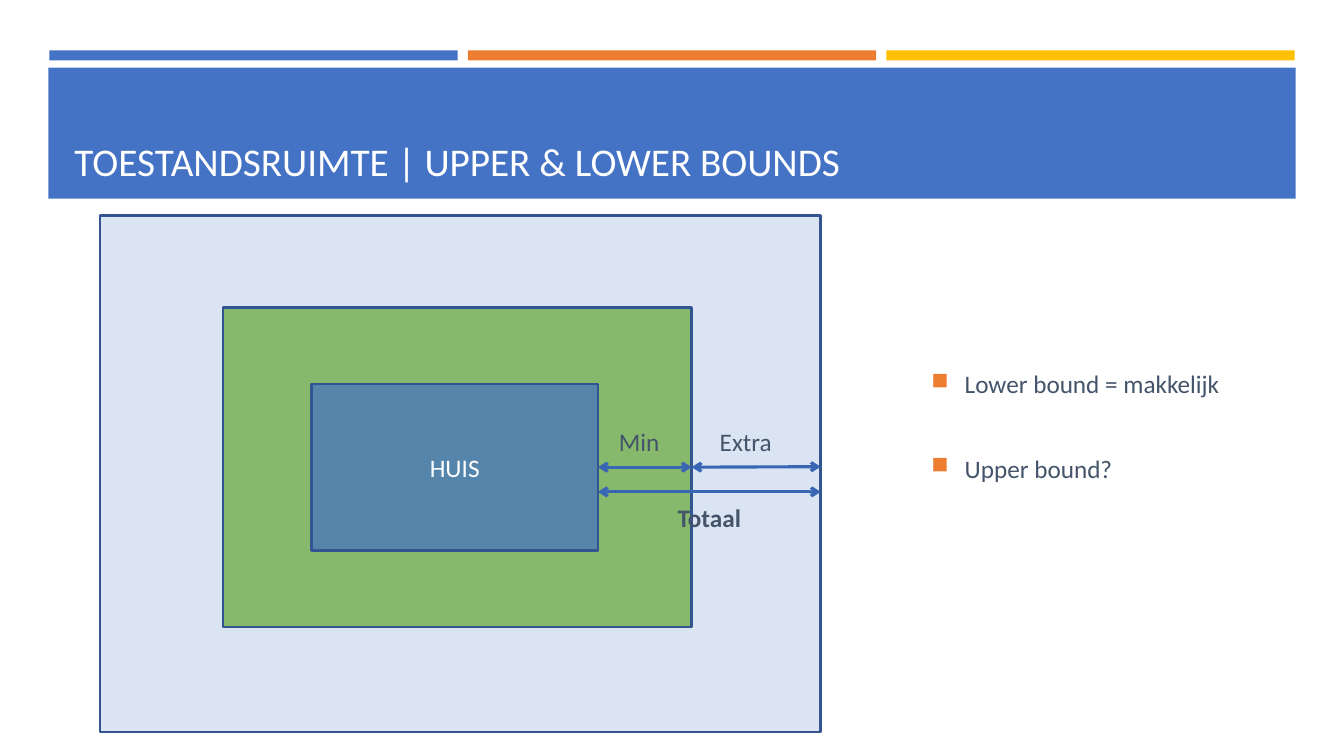
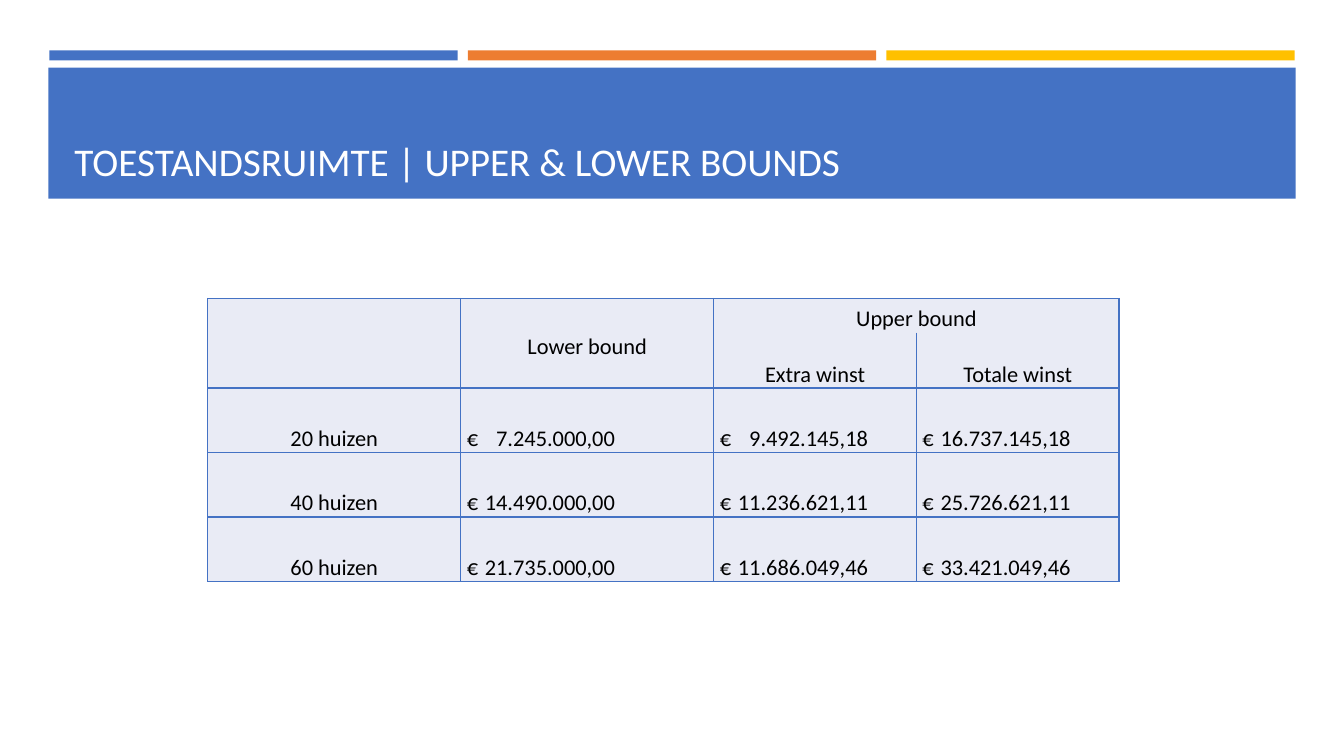
from dataclasses import dataclass

from lxml import etree
from pptx import Presentation
from pptx.dml.color import RGBColor
from pptx.enum.shapes import MSO_CONNECTOR, MSO_SHAPE
from pptx.enum.text import MSO_ANCHOR, PP_ALIGN
from pptx.oxml.ns import qn
from pptx.util import Inches, Pt

RECT = MSO_SHAPE.RECTANGLE
STRAIGHT = MSO_CONNECTOR.STRAIGHT
LEFT, CENTER = PP_ALIGN.LEFT, PP_ALIGN.CENTER
MIDDLE, BOTTOM = MSO_ANCHOR.MIDDLE, MSO_ANCHOR.BOTTOM
SIDE_RIGHT = 3


@dataclass(frozen=True)
class Theme:
    font: str = "Calibri"
    blue: str = "4472C4"
    orange: str = "ED7D31"
    yellow: str = "FFC000"
    green: str = "70AD47"
    outline: str = "325491"
    arrow: str = "3965B5"
    text: str = "44546A"
    white: str = "FFFFFF"
    black: str = "000000"
    cell: str = "E9EBF5"
    title_size: int = 28
    body_size: int = 18
    table_size: int = 16


T = Theme()
TITLE = "TOESTANDSRUIMTE | UPPER & LOWER BOUNDS"
BULLETS = ["Lower bound = makkelijk", "Upper bound?"]
PROFITS = [
    ("20 huizen", "7.245.000,00", "9.492.145,18", "16.737.145,18"),
    ("40 huizen", "14.490.000,00", "11.236.621,11", "25.726.621,11"),
    ("60 huizen", "21.735.000,00", "11.686.049,46", "33.421.049,46"),
]


def rgb(value):
    return RGBColor.from_string(value)


def sub(parent, tag, **attrs):
    return etree.SubElement(parent, qn(tag), attrs)


def style(p, size, color, align=LEFT, bold=False):
    p.alignment = align
    p.font.name = T.font
    p.font.size = Pt(size)
    p.font.bold = bold
    p.font.color.rgb = rgb(color)


def add_rect(s, box, fill, alpha=None, line=None):
    sp = s.shapes.add_shape(RECT, *map(Inches, box))
    sp.shadow.inherit = False
    sp.fill.solid()
    sp.fill.fore_color.rgb = rgb(fill)
    if alpha:
        color = sp.fill._xPr.find(qn("a:solidFill"))[0]
        sub(color, "a:alpha", val=str(alpha * 1000))
    if line:
        sp.line.color.rgb = rgb(line)
        sp.line.width = Pt(1.75)
    else:
        sp.line.fill.background()
    return sp


def add_text(s, box, text, size, color, align=LEFT, anchor=MIDDLE, bold=False):
    tf = s.shapes.add_textbox(*map(Inches, box)).text_frame
    tf.word_wrap = True
    tf.vertical_anchor = anchor
    tf.text = text
    for p in tf.paragraphs:
        style(p, size, color, align, bold)
    return tf


def add_arrow(s, x1, x2, y):
    c = s.shapes.add_connector(STRAIGHT, *map(Inches, (x1, y, x2, y)))
    c.line.color.rgb = rgb(T.arrow)
    c.line.width = Pt(2.25)
    ln = c.line._get_or_add_ln()
    sub(ln, "a:headEnd", type="arrow")
    sub(ln, "a:tailEnd", type="arrow")
    sub(c._element.spPr, "a:effectLst")
    return c


def new_slide(prs):
    s = prs.slides.add_slide(prs.slide_layouts[6])
    for i, color in enumerate((T.blue, T.orange, T.yellow)):
        add_rect(s, (0.49 + 4.15 * i, 0.5, 4.05, 0.1), color)
    add_rect(s, (0.48, 0.67, 12.37, 1.3), T.blue)
    add_text(s, (0.64, 0.77, 12.06, 1.11), TITLE, T.title_size, T.white,
             anchor=BOTTOM)
    return s


def add_house_diagram(s, x, y, w, h):
    add_rect(s, (x, y, w, h), T.blue, 19, T.outline)
    free_zone = add_rect(s, (x + 1.22, y + 0.91, 4.65, 3.17), T.green, 78,
                         T.outline)
    house = add_rect(s, (x + 2.1, y + 1.67, 2.84, 1.65), T.blue, 72, T.outline)
    tf = house.text_frame
    tf.text = "HUIS"
    tf.vertical_anchor = MIDDLE
    style(tf.paragraphs[0], T.body_size, T.white, CENTER)

    house_edge, zone_edge, plot_edge = x + 4.94, x + 5.87, x + w
    mid = y + 2.49
    minimum = add_arrow(s, house_edge, zone_edge, mid)
    minimum.begin_connect(house, SIDE_RIGHT)
    minimum.end_connect(free_zone, SIDE_RIGHT)
    extra = add_arrow(s, zone_edge, plot_edge, mid)
    extra.begin_connect(free_zone, SIDE_RIGHT)
    add_arrow(s, house_edge, plot_edge, mid + 0.25)

    for i, label in enumerate(("Min", "Extra")):
        add_text(s, (house_edge + 0.11 + i, mid - 0.5, 1, 0.5), label,
                 T.body_size, T.text)
    add_text(s, (house_edge, mid + 0.25, plot_edge - house_edge, 0.5),
             "Totaal", T.body_size, T.text, CENTER, bold=True)


def add_bullets(s, box, items):
    tf = add_text(s, box, "\n".join(items), T.body_size, T.text)
    for i, p in enumerate(tf.paragraphs):
        pPr = p._p.get_or_add_pPr()
        pPr.set("marL", str(Inches(0.33)))
        pPr.set("indent", str(-Inches(0.33)))
        defaults = pPr.find(qn("a:defRPr"))
        color = etree.Element(qn("a:buClr"))
        sub(color, "a:srgbClr", val=T.orange)
        size = etree.Element(qn("a:buSzPct"), val="92000")
        char = etree.Element(qn("a:buChar"), char="■")
        for item in (color, size, char):
            defaults.addprevious(item)
        if i:
            p.space_before = Pt(39)


def set_borders(cell, sides):
    tcPr = cell._tc.get_or_add_tcPr()
    for i, side in enumerate("LRTB"):
        ln = etree.Element(qn("a:ln" + side), w=str(Pt(1)))
        if side in sides:
            sub(sub(ln, "a:solidFill"), "a:srgbClr", val=T.blue)
        else:
            sub(ln, "a:noFill")
        tcPr.insert(i, ln)


def fill_cell(cell, text, align=CENTER, bottom=0.0):
    cell.text = text
    cell.margin_bottom = Inches(bottom)
    p = cell.text_frame.paragraphs[0]
    if align == LEFT:
        cell.margin_left = Inches(0.06)
        tabs = sub(p._p.get_or_add_pPr(), "a:tabLst")
        sub(tabs, "a:tab", pos=str(Inches(1.47)), algn="r")
    style(p, T.table_size, T.black, align)


def add_profit_table(s, x, y):
    widths = (2.51, 2.51, 2.01, 2.01)
    heights = (0.34, 0.55, 0.64, 0.64, 0.64)
    frame = s.shapes.add_table(len(heights), len(widths), Inches(x), Inches(y),
                               Inches(sum(widths)), Inches(sum(heights)))
    table = frame.table
    table.first_row = table.horz_banding = False
    for col, width in zip(table.columns, widths):
        col.width = Inches(width)
    for row, height in zip(table.rows, heights):
        row.height = Inches(height)

    open_sides = {0: "LRT", 1: "LRB"}
    for r in range(len(heights)):
        for c in range(len(widths)):
            cell = table.cell(r, c)
            cell.fill.solid()
            cell.fill.fore_color.rgb = rgb(T.cell)
            cell.vertical_anchor = BOTTOM
            cell.margin_left = cell.margin_right = Inches(0.01)
            cell.margin_top = Inches(0.01)
            cell.margin_bottom = 0
            style(cell.text_frame.paragraphs[0], T.table_size, T.black)
            set_borders(cell, open_sides.get(r, "LRTB") if c > 1 else "LRTB")

    for first, last in (((0, 0), (1, 0)), ((0, 1), (1, 1)), ((0, 2), (0, 3))):
        table.cell(*first).merge(table.cell(*last))
    fill_cell(table.cell(0, 1), "Lower bound", bottom=0.27)
    fill_cell(table.cell(0, 2), "Upper bound")
    fill_cell(table.cell(1, 2), "Extra winst")
    fill_cell(table.cell(1, 3), "Totale winst")
    for r, (houses, *amounts) in enumerate(PROFITS, 2):
        fill_cell(table.cell(r, 0), houses)
        for c, amount in enumerate(amounts, 1):
            fill_cell(table.cell(r, c), "€\t" + amount, LEFT)


def main():
    prs = Presentation()
    prs.slide_width, prs.slide_height = Inches(13.33), Inches(7.5)
    s = new_slide(prs)
    add_house_diagram(s, 0.99, 2.14, 7.15, 5.12)
    add_bullets(s, (9.14, 2.75, 3.56, 2.95), BULLETS)
    add_profit_table(new_slide(prs), 2.06, 2.96)
    prs.save("out.pptx")


if __name__ == "__main__":
    main()
